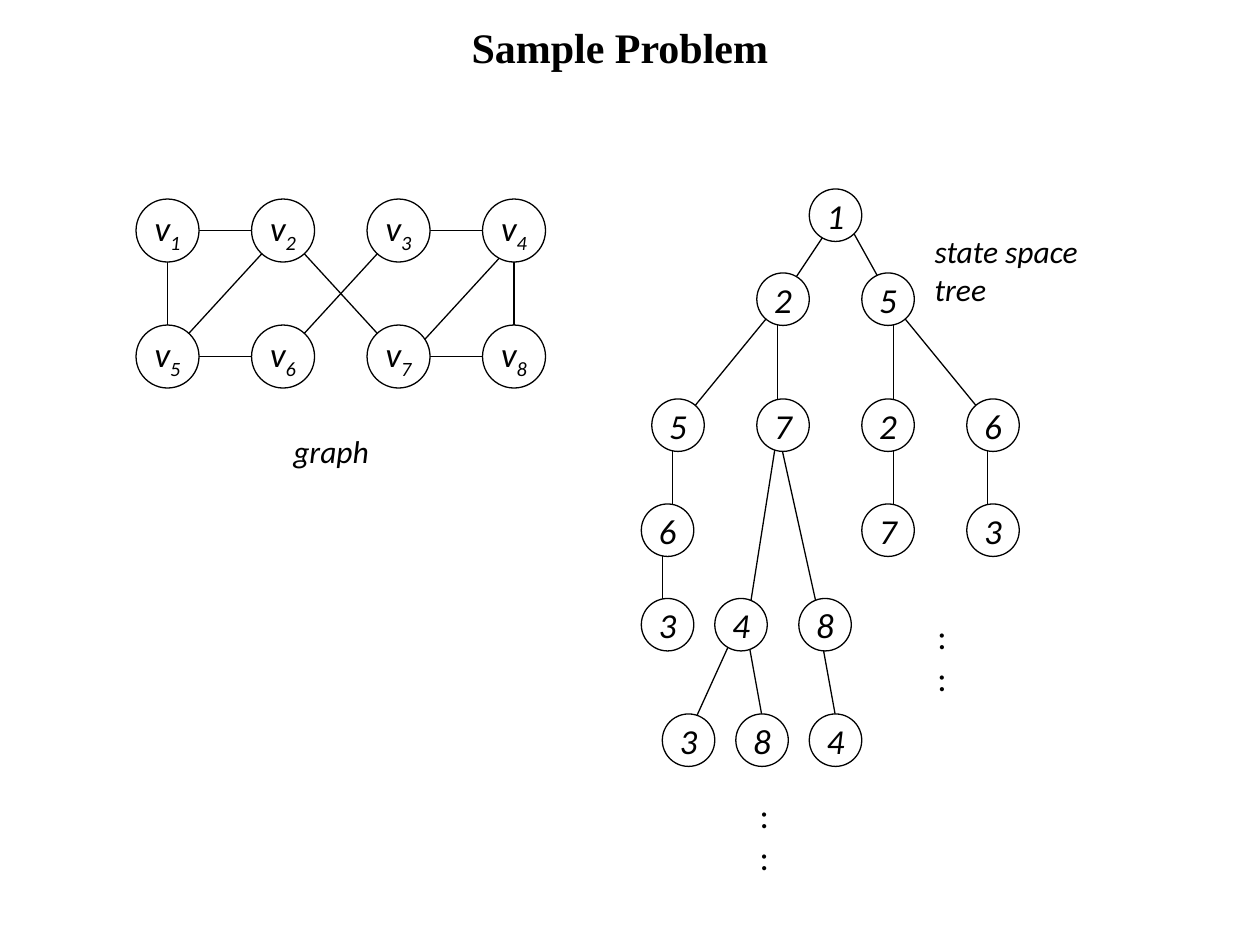
import pptx
import pptx.util
import pptx.dml.color
import pptx.enum.shapes
import pptx.enum.text
import pptx.oxml

COLORS = {"ink": "000000", "paper": "FFFFFF"}
UNIT = pptx.util.Inches(10) / 120
MIDDLE = pptx.enum.text.MSO_ANCHOR.MIDDLE
CENTER = pptx.enum.text.PP_ALIGN.CENTER

GRAPH_ROWS = [["1", "2", "3", "4"], ["5", "6", "7", "8"]]
GRAPH_EDGES = [
    (3, 3, 14, 3), (14, 3, 25, 15), (25, 3, 14, 15), (26, 3, 36, 3),
    (37, 3, 26, 15), (36, 3, 36, 16), (36, 15, 26, 15), (14, 15, 3, 15),
    (14, 3, 3, 15), (3, 3, 3, 16),
]
TREE_LEVELS = {
    0: [(16, "1")],
    8: [(11, "2"), (21, "5")],
    20: [(1, "5"), (11, "7"), (21, "2"), (31, "6")],
    30: [(0, "6"), (21, "7"), (31, "3")],
    39: [(0, "3"), (7, "4"), (15, "8")],
    50: [(2, "3"), (9, "8"), (16, "4")],
}
TREE_EDGES = [
    (19, 2, 13, 11), (19, 2, 24, 11), (13, 11, 4, 22), (13, 10, 13, 23),
    (24, 11, 24, 22), (24, 11, 33, 22), (3, 23, 3, 32), (13, 23, 10, 42),
    (13, 23, 17, 41), (24, 23, 24, 32), (33, 22, 33, 32), (2, 33, 2, 43),
    (9, 42, 4, 53), (10, 42, 12, 53), (17, 42, 19, 53),
]


def color(name):
    """Return the named colour."""
    return pptx.dml.color.RGBColor.from_string(COLORS[name])


def write(p, text, size=20, font="Calibri", bold=False, italic=True, sub=False):
    """Add a formatted run to a paragraph."""
    r = p.add_run()
    r.text = text
    r.font.size = pptx.util.Pt(size)
    r.font.name = font
    r.font.bold = bold
    r.font.italic = italic
    r.font.color.rgb = color("ink")
    if sub:
        r._r.get_or_add_rPr().set("baseline", "-25000")


def place(box, col, row):
    """Turn grid columns and rows of a box into slide lengths."""
    return round(box[0] + col * UNIT), round(box[1] + row * UNIT)


def add_edges(s, box, edges):
    """Draw straight edges between grid points."""
    for x1, y1, x2, y2 in edges:
        line = s.shapes.add_connector(
            pptx.enum.shapes.MSO_CONNECTOR.STRAIGHT,
            *place(box, x1, y1), *place(box, x2, y2))
        line.line.color.rgb = color("ink")
        line.line.width = pptx.util.Pt(0.75)
        line._element.spPr.append(pptx.oxml.parse_xml(
            '<a:effectLst xmlns:a="http://schemas.openxmlformats.org/drawingml/2006/main"/>'))


def add_node(s, box, col, row, size, text, sub=""):
    """Draw a labelled circle at a grid point."""
    side = round(size * UNIT)
    sp = s.shapes.add_shape(
        pptx.enum.shapes.MSO_SHAPE.OVAL, *place(box, col, row), side, side)
    sp.shadow.inherit = False
    sp.fill.solid()
    sp.fill.fore_color.rgb = color("paper")
    sp.line.color.rgb = color("ink")
    sp.line.width = pptx.util.Pt(0.75)
    tf = sp.text_frame
    tf.word_wrap = False
    tf.vertical_anchor = MIDDLE
    p = tf.paragraphs[0]
    p.alignment = CENTER
    write(p, text)
    if sub:
        write(p, sub, sub=True)


def add_label(s, box, lines, wrap=False, **style):
    """Add a text box with one paragraph per line."""
    sp = s.shapes.add_textbox(*map(pptx.util.Inches, box))
    tf = sp.text_frame
    tf.word_wrap = wrap
    for i, text in enumerate(lines):
        p = tf.add_paragraph() if i else tf.paragraphs[0]
        write(p, text, **style)


def add_title(s, box, text):
    """Place and format the slide title."""
    sp = s.shapes.title
    sp.left, sp.top, sp.width, sp.height = map(pptx.util.Inches, box)
    tf = sp.text_frame
    tf.vertical_anchor = MIDDLE
    p = tf.paragraphs[0]
    p.alignment = CENTER
    write(p, text, size=24, font="Times New Roman", bold=True, italic=False)


def add_graph(s, box):
    """Draw the graph on its grid of vertices."""
    add_edges(s, box, GRAPH_EDGES)
    for i, row in enumerate(GRAPH_ROWS):
        for j, number in enumerate(row):
            add_node(s, box, 11 * j, 12 * i, 6, "v", sub=number)


def add_tree(s, box):
    """Draw the state space tree level by level."""
    add_edges(s, box, TREE_EDGES)
    for row, nodes in TREE_LEVELS.items():
        for col, text in nodes:
            add_node(s, box, col, row, 5, text)


def main():
    """Build and save the slide."""
    prs = pptx.Presentation()
    prs.slide_width = pptx.util.Inches(10)
    prs.slide_height = pptx.util.Inches(7.5)
    s = prs.slides.add_slide(prs.slide_layouts[5])
    add_title(s, (0.67, 0.08, 8.5, 0.58), "Sample Problem")
    add_graph(s, (pptx.util.Inches(1.08), pptx.util.Inches(1.58)))
    add_tree(s, (pptx.util.Inches(5.09), pptx.util.Inches(1.5)))
    for left, top in [(7.34, 4.83), (5.93, 6.25)]:
        add_label(s, (left, top, 0.28, 0.77), [":", ":"], italic=False)
    add_label(s, (7.32, 1.79, 1.5, 0.7), ["state space tree"], wrap=True, size=18)
    add_label(s, (2.23, 3.38, 0.8, 0.4), ["graph"], size=18)
    prs.save("out.pptx")


if __name__ == "__main__":
    main()
